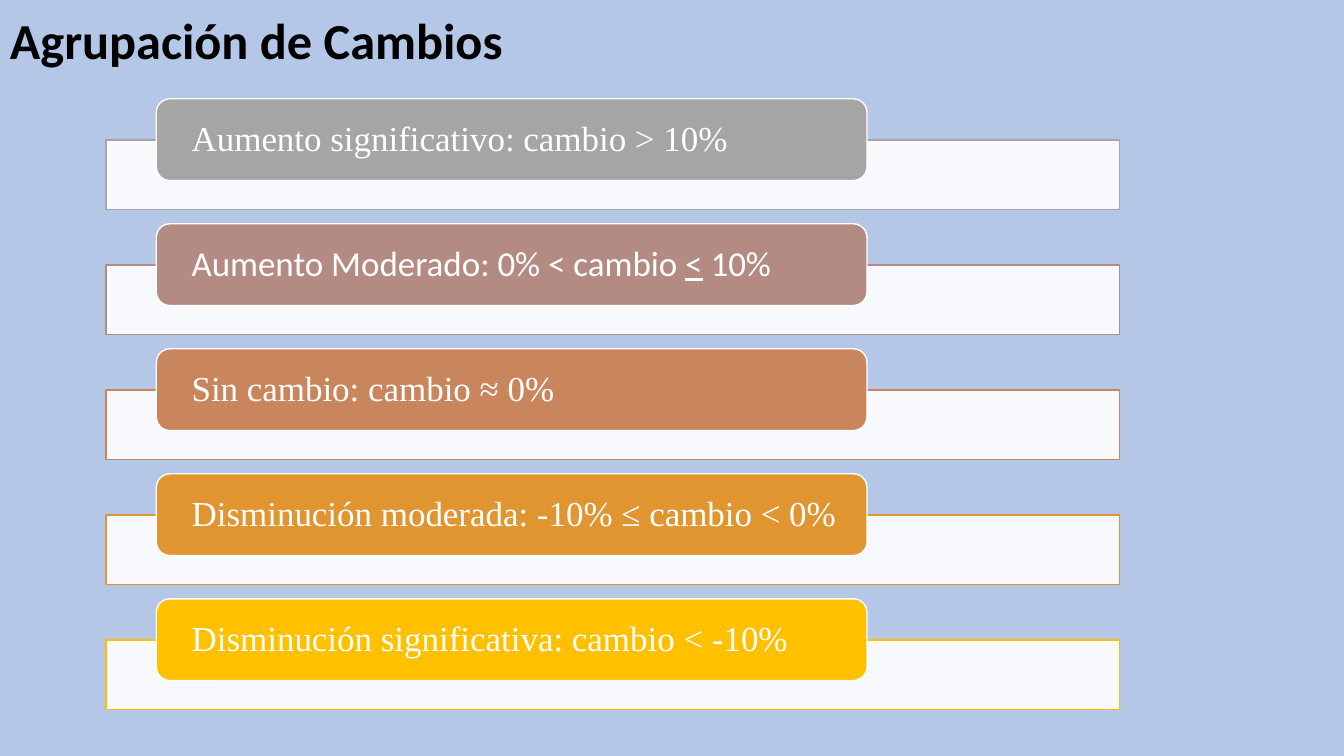
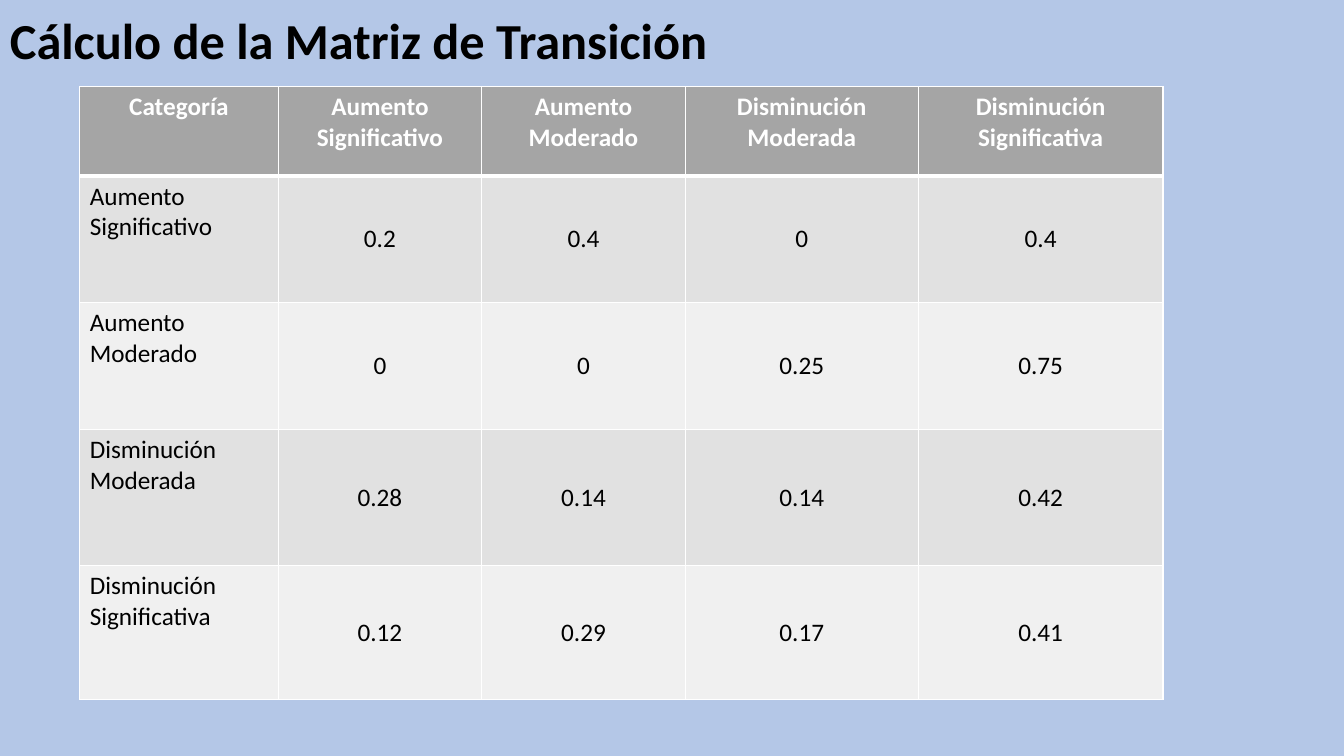
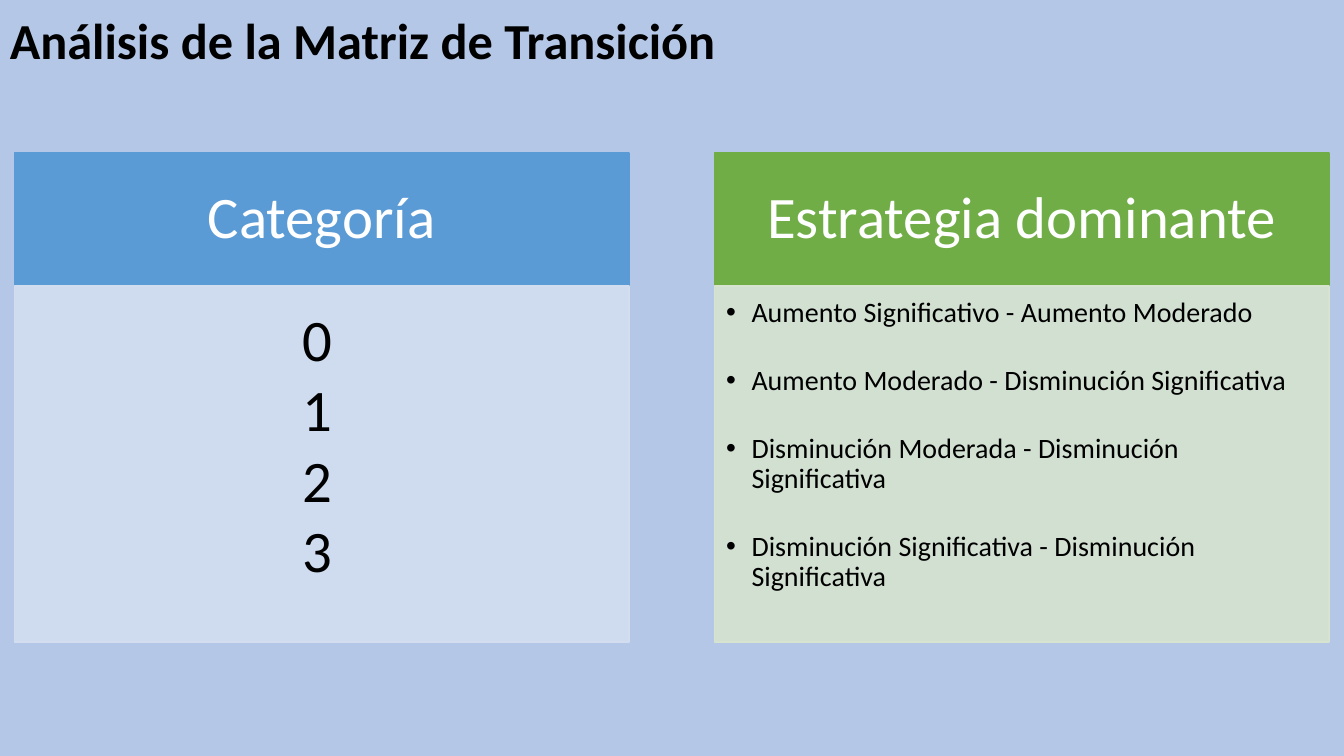
from dataclasses import dataclass

from lxml import etree
from pptx import Presentation
from pptx.dml.color import RGBColor
from pptx.enum.shapes import MSO_SHAPE
from pptx.enum.text import MSO_ANCHOR, PP_ALIGN
from pptx.oxml.ns import qn
from pptx.util import Cm, Pt

RECTANGLE = MSO_SHAPE.RECTANGLE
ROUNDED = MSO_SHAPE.ROUNDED_RECTANGLE
LEFT, CENTER = PP_ALIGN.LEFT, PP_ALIGN.CENTER
TOP, MIDDLE = MSO_ANCHOR.TOP, MSO_ANCHOR.MIDDLE


@dataclass(frozen=True)
class Theme:
    # Colours
    background: str = "B4C7E7"
    dark: str = "000000"
    light: str = "FFFFFF"
    table_header: str = "A5A5A5"
    table_bands: tuple = ("E1E1E1", "F0F0F0")
    groups: tuple = ("A5A5A5", "B48B83", "C9865C", "E19530", "FFC000")
    blue: str = "5B9BD5"
    pale_blue: str = "D2DEEF"
    green: str = "70AD47"
    pale_green: str = "D5E3CF"
    # Type
    sans: str = "Calibri"
    serif: str = "Times New Roman"
    title_size: int = 36
    panel_size: int = 42
    group_size: int = 25
    bullet_size: int = 20
    table_size: int = 18


class Deck:
    """Holds the style and the slide being built."""

    def __init__(self, theme):
        self.theme = theme
        self.presentation = Presentation()
        self.presentation.slide_width = Cm(33.87)
        self.presentation.slide_height = Cm(19.05)
        fill = self.presentation.slide_master.background.fill
        fill.solid()
        fill.fore_color.rgb = RGBColor.from_string(theme.background)
        self.slide = None

    def new_slide(self, title):
        layout = self.presentation.slide_layouts[6]
        self.slide = self.presentation.slides.add_slide(layout)
        box = self.slide.shapes.add_textbox(0, 0, Cm(33.87), Cm(2.18))
        frame = self.frame(box, MIDDLE)
        self.paragraph(frame, [title], self.theme.title_size, bold=True)

    def box(self, kind, left, top, width, height, fill, line, opacity=100):
        shape = self.slide.shapes.add_shape(
            kind, Cm(left), Cm(top), Cm(width), Cm(height))
        shape.shadow.inherit = False
        shape.fill.solid()
        shape.fill.fore_color.rgb = RGBColor.from_string(fill)
        shape.line.color.rgb = RGBColor.from_string(line)
        shape.line.width = Pt(1)
        if opacity < 100:
            color = shape._element.spPr.find(qn("a:solidFill"))[0]
            etree.SubElement(color, qn("a:alpha"), val=str(opacity * 1000))
        return shape

    def frame(self, shape, anchor, insets=(0.25, 0.13, 0.25, 0.13)):
        frame = shape.text_frame
        frame.word_wrap = True
        frame.vertical_anchor = anchor
        (frame.margin_left, frame.margin_top,
         frame.margin_right, frame.margin_bottom) = map(Cm, insets)
        return frame

    def paragraph(self, frame, runs, size, color=None, font=None, bold=False,
                  align=LEFT, spacing=0.9, after=0, bullet=False):
        """Add a paragraph; every second run is underlined."""
        paragraph = frame.paragraphs[0]
        if paragraph.runs:
            paragraph = frame.add_paragraph()
        paragraph.alignment = align
        paragraph.line_spacing = spacing
        paragraph.space_after = Pt(after)
        for index, text in enumerate(runs):
            run = paragraph.add_run()
            run.text = text
            run.font.name = font or self.theme.sans
            run.font.size = Pt(size)
            run.font.bold = bold
            run.font.underline = index % 2 == 1
            run.font.color.rgb = RGBColor.from_string(color or self.theme.dark)
        if bullet:
            properties = paragraph._p.get_or_add_pPr()
            properties.set("marL", str(Cm(0.64)))
            properties.set("indent", str(-Cm(0.64)))
            etree.SubElement(properties, qn("a:buFont"), typeface="Arial")
            etree.SubElement(properties, qn("a:buChar"), char="•")

    def group_bar(self, top, runs, color, font):
        """A wide pale bar with a rounded label over its upper edge."""
        light = self.theme.light
        self.box(RECTANGLE, 2.67, top + 1.04, 25.55, 1.75, light, color, 90)
        label = self.box(ROUNDED, 3.94, top, 17.91, 2.06, color, light)
        frame = self.frame(label, MIDDLE, (0.79, 0, 0.6, 0))
        self.paragraph(frame, runs, self.theme.group_size, light, font)

    def panel(self, left, heading, color, pale, insets):
        """A heading over a pale body; returns the text frame of the body."""
        header = self.box(RECTANGLE, left, 3.86, 15.49, 3.35, color, color)
        frame = self.frame(header, MIDDLE, (0.84, 0.48, 0.84, 0.48))
        self.paragraph(frame, [heading], self.theme.panel_size,
                       self.theme.light, align=CENTER)
        body = self.box(RECTANGLE, left, 7.21, 15.49, 8.97, pale, pale, 90)
        return self.frame(body, TOP, insets)

    def table(self, left, top, widths, heights, rows):
        table = self.slide.shapes.add_table(
            len(rows), len(widths), Cm(left), Cm(top),
            Cm(sum(widths)), Cm(sum(heights))).table
        table.first_row = table.horz_banding = False
        for column, width in zip(table.columns, widths):
            column.width = Cm(width)
        for row, height in zip(table.rows, heights):
            row.height = Cm(height)
        for row_index, texts in enumerate(rows):
            for column_index, text in enumerate(texts):
                self.cell(table.cell(row_index, column_index), text,
                          row_index, column_index)

    def cell(self, cell, text, row, column):
        theme, header = self.theme, row == 0
        # Borders: the rule under the header is thicker
        widths = {"lnL": 1, "lnR": 1, "lnT": 3 if row == 1 else 1,
                  "lnB": 3 if header else 1}
        properties = cell._tc.get_or_add_tcPr()
        for side, width in widths.items():
            line = etree.SubElement(properties, qn("a:" + side), w=str(Pt(width)))
            fill = etree.SubElement(line, qn("a:solidFill"))
            etree.SubElement(fill, qn("a:srgbClr"), val=theme.light)
        cell.fill.solid()
        cell.fill.fore_color.rgb = RGBColor.from_string(
            theme.table_header if header else theme.table_bands[(row - 1) % 2])
        # Text
        cell.vertical_anchor = TOP if header or column == 0 else MIDDLE
        self.paragraph(cell.text_frame, [text], theme.table_size,
                       theme.light if header else theme.dark, bold=header,
                       align=CENTER if header or column else LEFT, spacing=1.0)


def main():
    theme = Theme()
    deck = Deck(theme)

    # Groups of change
    deck.new_slide("Agrupación de Cambios")
    groups = [
        (["Aumento significativo: cambio > 10%"], theme.serif),
        (["Aumento Moderado: 0% < cambio ", "<", " 10%"], theme.sans),
        (["Sin cambio: cambio ≈ 0%"], theme.serif),
        (["Disminución moderada: -10% ≤ cambio < 0%"], theme.serif),
        (["Disminución significativa: cambio < -10%"], theme.serif),
    ]
    for index, ((runs, font), color) in enumerate(zip(groups, theme.groups)):
        deck.group_bar(2.49 + 3.15 * index, runs, color, font)

    # Transition matrix
    deck.new_slide("Cálculo de la Matriz de Transición")
    categories = ["Aumento Significativo", "Aumento Moderado",
                  "Disminución Moderada", "Disminución Significativa"]
    matrix = [
        ["0.2", "0.4", "0", "0.4"],
        ["0", "0", "0.25", "0.75"],
        ["0.28", "0.14", "0.14", "0.42"],
        ["0.12", "0.29", "0.17", "0.41"],
    ]
    rows = [["Categoría", *categories]]
    rows += [[name, *values] for name, values in zip(categories, matrix)]
    deck.table(2.01, 2.18, [5, 5.13, 5.13, 5.87, 6.17],
               [2.26, 3.18, 3.2, 3.43, 3.38], rows)

    # Dominant strategy of each category
    deck.new_slide("Análisis de la Matriz de Transición")
    numbers = deck.panel(0.36, "Categoría", theme.blue, theme.pale_blue,
                         (0.61, 0.61, 0.84, 0.94))
    strategies = deck.panel(18, "Estrategia dominante", theme.green,
                            theme.pale_green, (0.3, 0.3, 0.41, 0.43))
    dominant = [categories[1]] + [categories[3]] * 3
    for index, (origin, target) in enumerate(zip(categories, dominant)):
        deck.paragraph(numbers, [str(index)], theme.panel_size,
                       align=CENTER, after=5)
        deck.paragraph(strategies, [f"{origin} - {target}"],
                       theme.bullet_size, after=27, bullet=True)

    deck.presentation.save("out.pptx")


if __name__ == "__main__":
    main()
